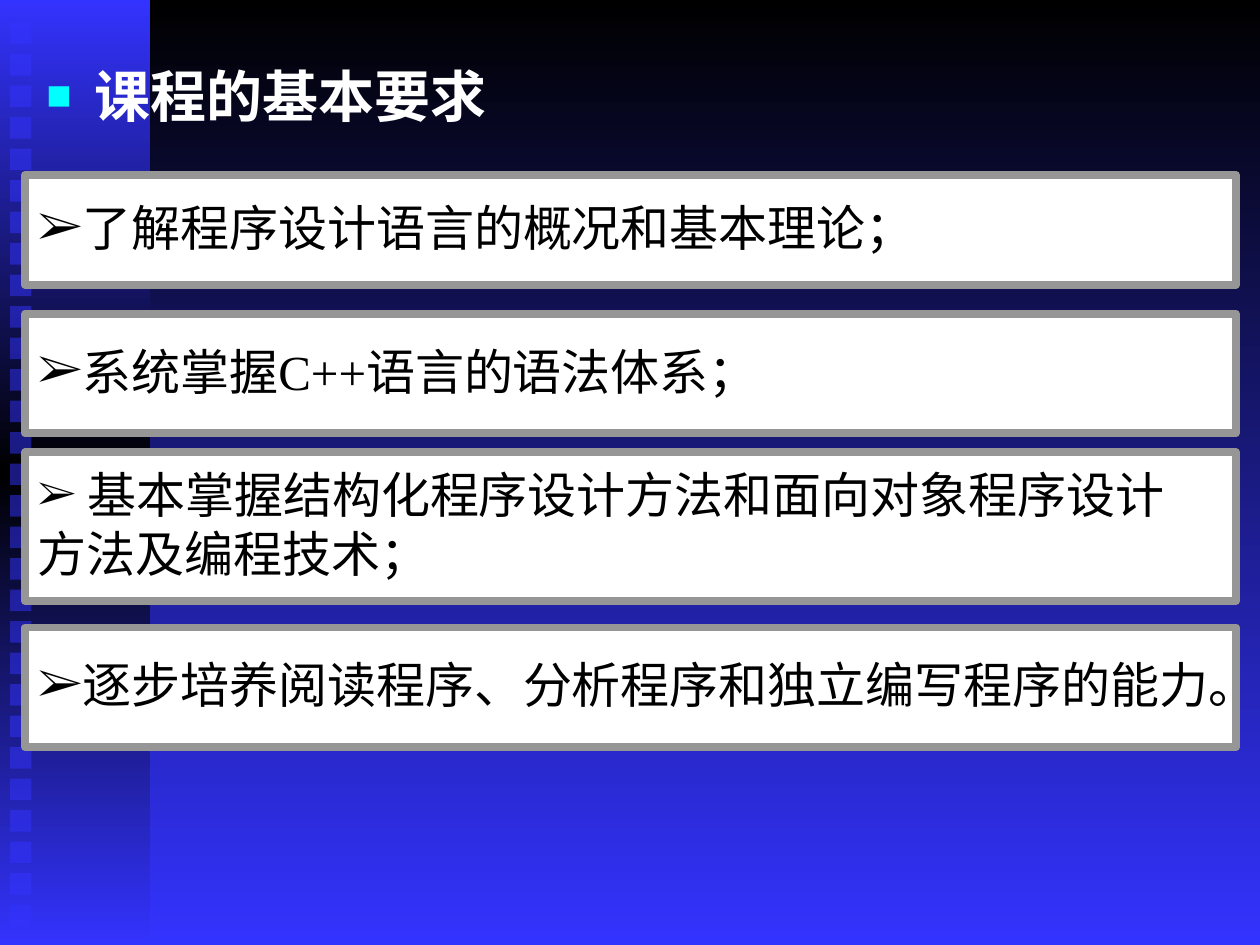
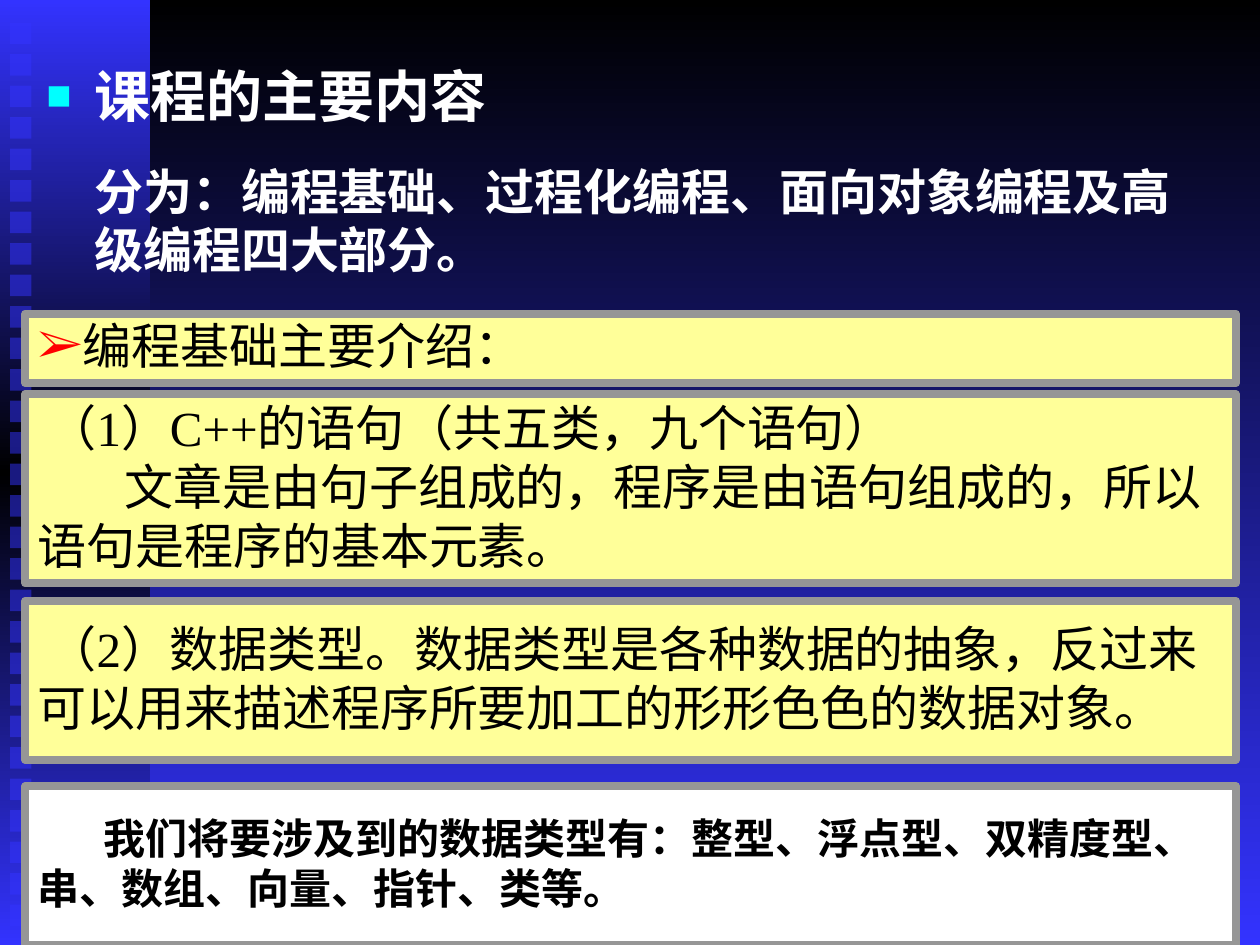
from lxml.etree import SubElement
from pptx import Presentation
from pptx.dml.color import RGBColor
from pptx.enum.shapes import MSO_SHAPE
from pptx.enum.text import MSO_ANCHOR, PP_ALIGN
from pptx.oxml.ns import qn
from pptx.util import Inches, Pt

COLORS = {
    "blue": "3333FF",
    "black": "000000",
    "white": "FFFFFF",
    "yellow": "FFFF99",
    "frame": "969696",
    "cyan": "00FFFF",
    "red": "FF0000",
}
FONT = "Times New Roman"
PANEL_LEFT, PANEL_WIDTH = 0.2, 9.61
SQUARE_COUNT, SQUARE_SIZE, SQUARE_STEP = 29, 0.17, 0.25


def rgb(color):
    return RGBColor.from_string(COLORS[color])


def paint_gradient(fill, element, colors):
    fill.gradient()
    fill.gradient_angle = 270
    stops = element.find(".//" + qn("a:gsLst"))
    for stop in list(stops):
        stops.remove(stop)
    for index, color in enumerate(colors):
        position = 100000 * index // (len(colors) - 1)
        stop = SubElement(stops, qn("a:gs"), pos=str(position))
        SubElement(stop, qn("a:srgbClr"), val=COLORS[color])


def add_bullet(paragraph, char, color, percent=100):
    properties = paragraph._p.get_or_add_pPr()
    tint = SubElement(properties, qn("a:buClr"))
    SubElement(tint, qn("a:srgbClr"), val=COLORS[color])
    SubElement(properties, qn("a:buSzPct"), val=str(percent * 1000))
    SubElement(properties, qn("a:buFont"), typeface=FONT)
    SubElement(properties, qn("a:buChar"), char=char)


def set_indent(paragraph, margin, first_line):
    properties = paragraph._p.get_or_add_pPr()
    properties.set("marL", str(Inches(margin)))
    properties.set("indent", str(Inches(first_line)))


def style_text(paragraph, size, color, bold=False):
    for run in paragraph.runs:
        run.font.name = FONT
        run.font.size = Pt(size)
        run.font.bold = bold
        run.font.color.rgb = rgb(color)


def add_rectangle(slide, left, top, width, height):
    rectangle = slide.shapes.add_shape(
        MSO_SHAPE.RECTANGLE, Inches(left), Inches(top), Inches(width), Inches(height)
    )
    rectangle.shadow.inherit = False
    rectangle.line.fill.background()
    return rectangle


def add_side_band(slide, left, top, width, height):
    band = add_rectangle(slide, left, top, width, height)
    paint_gradient(band.fill, band.element, ["blue", "black", "blue"])
    for index in range(SQUARE_COUNT):
        square = add_rectangle(
            slide, left + 0.08, top + 0.18 + index * SQUARE_STEP, SQUARE_SIZE, SQUARE_SIZE
        )
        square.fill.solid()
        square.fill.fore_color.rgb = rgb("blue")
        tint = square.element.spPr.find(".//" + qn("a:srgbClr"))
        SubElement(tint, qn("a:alpha"), val="50000")


def add_heading(slide, text, left, top, width, height, size, bullet=None):
    heading = slide.shapes.add_textbox(
        Inches(left), Inches(top), Inches(width), Inches(height)
    )
    heading.text_frame.word_wrap = True
    heading.text_frame.text = text
    paragraph = heading.text_frame.paragraphs[0]
    set_indent(paragraph, 0.38, -0.38 if bullet else 0)
    if bullet:
        add_bullet(paragraph, bullet, "cyan", 75)
    style_text(paragraph, size, "white", True)


def add_panel(slide, lines, top, height, fill="white", bullet=None, indents=(),
              size=28, bold=False, align=PP_ALIGN.LEFT, bullet_percent=100):
    panel = add_rectangle(slide, PANEL_LEFT, top, PANEL_WIDTH, height)
    panel.fill.solid()
    panel.fill.fore_color.rgb = rgb(fill)
    panel.line.color.rgb = rgb("frame")
    panel.line.width = Pt(4.5)
    frame = panel.text_frame
    frame.word_wrap = False
    frame.vertical_anchor = MSO_ANCHOR.MIDDLE
    frame.margin_top = 0
    frame.text = "\n".join(lines)
    for paragraph in frame.paragraphs:
        paragraph.alignment = align
        style_text(paragraph, size, "black", bold)
    for paragraph, indent in zip(frame.paragraphs, indents):
        set_indent(paragraph, 0, indent)
    if bullet:
        add_bullet(frame.paragraphs[0], "➢", bullet, bullet_percent)


def add_course_slide(deck, title):
    slide = deck.slides.add_slide(deck.slide_layouts[6])
    paint_gradient(slide.background.fill, slide.element, ["black", "blue"])
    add_side_band(slide, 0, 0, 1.19, 7.5)
    add_heading(slide, title, 0.27, 0.44, 8.5, 0.79, 32, "■")
    return slide


def build_requirements(deck):
    slide = add_course_slide(deck, "课程的基本要求")
    add_panel(slide, ["了解程序设计语言的概况和基本理论；"], 1.39, 0.87, bullet="black")
    add_panel(slide, ["系统掌握C++语言的语法体系；"], 2.49, 0.95, bullet="black")
    add_panel(
        slide,
        [" 基本掌握结构化程序设计方法和面向对象程序设计", "方法及编程技术；"],
        3.59, 1.18, bullet="black", align=PP_ALIGN.JUSTIFY, bullet_percent=86,
    )
    add_panel(
        slide, ["逐步培养阅读程序、分析程序和独立编写程序的能力。"], 4.98, 0.95, bullet="black"
    )


def build_contents(deck):
    slide = add_course_slide(deck, "课程的主要内容")
    add_heading(
        slide, "分为：编程基础、过程化编程、面向对象编程及高级编程四大部分。",
        0.27, 1.23, 9.45, 1.1, 28,
    )
    add_panel(slide, ["编程基础主要介绍："], 2.49, 0.55, "yellow", bullet="red")
    add_panel(
        slide,
        [
            "（1）C++的语句（共五类，九个语句）",
            "文章是由句子组成的，程序是由语句组成的，所以",
            "语句是程序的基本元素。",
        ],
        3.13, 1.5, "yellow", indents=[0.08, 0.69],
    )
    add_panel(
        slide,
        [
            "（2）数据类型。数据类型是各种数据的抽象，反过来",
            "可以用来描述程序所要加工的形形色色的数据对象。",
        ],
        4.77, 1.26, "yellow", indents=[0.08],
    )
    add_panel(
        slide,
        ["我们将要涉及到的数据类型有：整型、浮点型、双精度型、", "串、数组、向量、指针、类等。"],
        6.24, 1.26, indents=[0.52], size=24, bold=True,
    )


def main():
    deck = Presentation()
    deck.slide_width, deck.slide_height = Inches(10), Inches(7.5)
    build_requirements(deck)
    build_contents(deck)
    deck.save("out.pptx")


if __name__ == "__main__":
    main()
